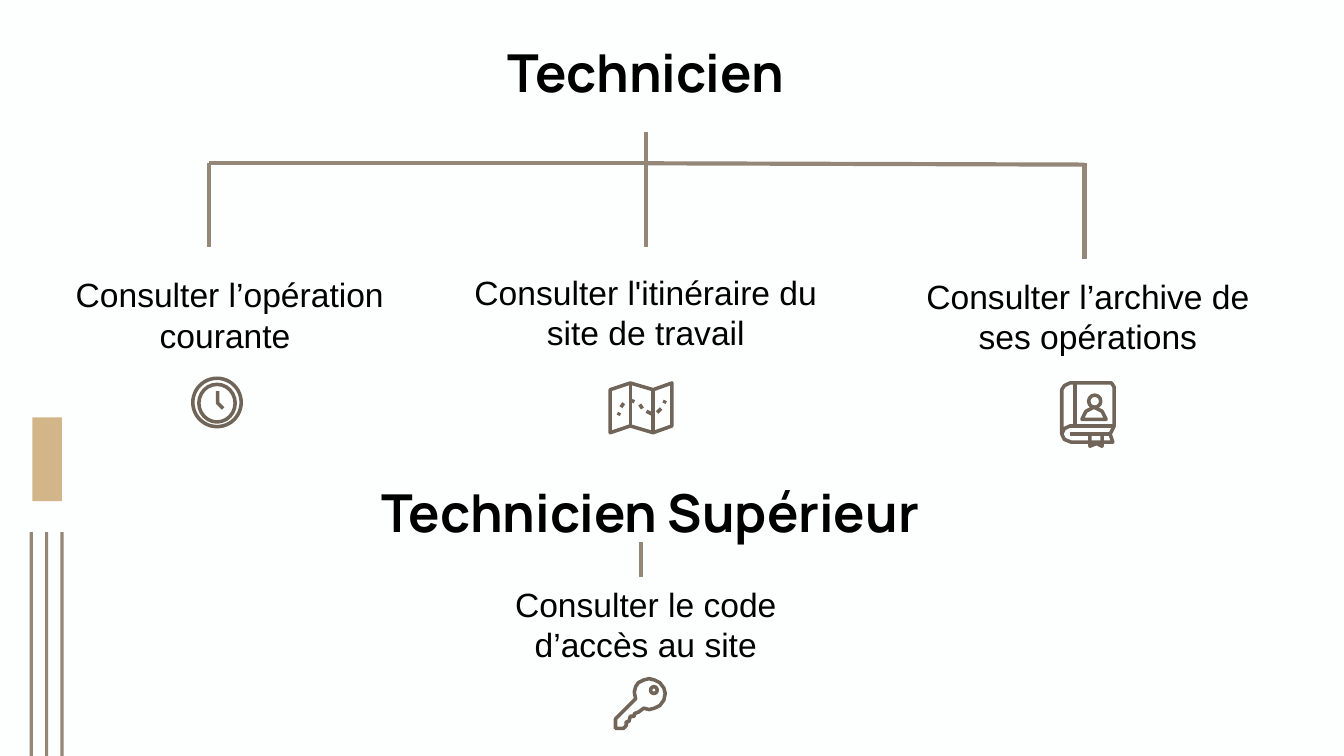
"""Build the slide of technician roles, on a 16:9 page with grid cells of a hundredth of an inch."""
from typing import NamedTuple

import lxml.etree
import pptx
import pptx.dml.color
import pptx.enum.shapes
import pptx.enum.text
import pptx.oxml.ns
import pptx.util

COLS, ROWS = 1000, 562.5
CELL = pptx.util.Inches(0.01)
PAPER = pptx.dml.color.RGBColor(0xFD, 0xFF, 0xFE)
TAUPE = pptx.dml.color.RGBColor(0x94, 0x87, 0x77)
SAND = pptx.dml.color.RGBColor(0xD2, 0xB6, 0x89)
UMBER = pptx.dml.color.RGBColor(0x70, 0x65, 0x58)
BLACK = pptx.dml.color.RGBColor(0, 0, 0)
SHAPE = pptx.enum.shapes.MSO_SHAPE
ALIGN = pptx.enum.text.PP_ALIGN


class Box(NamedTuple):
    """A rectangle in grid columns and rows."""

    col: float
    row: float
    cols: float
    rows: float

    def emu(self) -> list[int]:
        """Return left, top, width and height in EMU."""
        return [int(n * CELL) for n in self]


class Caption(NamedTuple):
    """A text and its place."""

    text: str
    box: Box


class Stroke(NamedTuple):
    """One outline of an icon."""

    points: list[tuple[int, int]]
    closed: bool = False


class Icon(NamedTuple):
    """A line icon made of circles and strokes."""

    circles: list[Box]
    strokes: list[Stroke]


HEADINGS = [
    Caption("Technicien", Box(368, 20, 363, 63)),
    Caption("Technicien Supérieur", Box(274, 347.5, 450, 63)),
]
CAPTIONS = [
    Caption("Consulter l’opération courante ", Box(46, 199, 250, 71)),
    Caption("Consulter l'itinéraire du site de travail", Box(339, 197.5, 283, 71)),
    Caption("Consulter l’archive de ses opérations", Box(668, 200, 283, 71)),
    Caption("Consulter le code d’accès au site", Box(355.5, 429.5, 250, 71)),
]
LEFT, MIDDLE, RIGHT, BRANCH = 155.5, 480.5, 807, 121.5
BRANCHES = [
    ((MIDDLE, 98), (MIDDLE, BRANCH)),
    ((MIDDLE, BRANCH), (MIDDLE, 184)),
    ((LEFT, BRANCH), (MIDDLE, BRANCH)),
    ((MIDDLE, BRANCH), (RIGHT, BRANCH + 1)),
    ((LEFT, BRANCH), (LEFT, 184)),
    ((RIGHT, BRANCH), (RIGHT, 193)),
    ((477, 403.5), (477, 429.5)),
]
CLOCK = Icon(
    [Box(143.5, 281.5, 36, 36), Box(148, 286, 27, 28)],
    [Stroke([(162, 291), (162, 300), (166, 304)])],
)
MAP = Icon([], [
    Stroke([(454, 290), (469, 285), (486, 290), (500, 285),
            (500, 317), (486, 322), (469, 317), (454, 322)], True),
    Stroke([(469, 285), (469, 317)]),
    Stroke([(486, 290), (486, 322)]),
    Stroke([(460, 309), (461, 307)]),
    Stroke([(462, 303), (464, 300)]),
    Stroke([(470, 298), (472, 299)]),
    Stroke([(476, 301), (478, 304)]),
    Stroke([(481, 306), (485, 308)]),
    Stroke([(489, 307), (492, 304)]),
    Stroke([(494, 300), (495, 298)]),
])
BOOK = Icon([Box(810, 294, 9, 9)], [
    Stroke([(790, 323), (790, 290), (792, 287), (796, 285), (827, 285), (829, 288),
            (829, 317), (796, 317), (792, 319), (790, 323), (792, 327), (797, 329),
            (828, 329), (826, 323), (829, 317)]),
    Stroke([(800, 285), (800, 317)]),
    Stroke([(796, 323), (827, 323)]),
    Stroke([(811, 323), (811, 332), (816, 330), (820, 332), (820, 323)]),
    Stroke([(805, 312), (808, 306), (814, 303), (820, 306), (823, 312)], True),
])
KEY = Icon([Box(484, 511, 5, 5)], [
    Stroke([(458, 535), (473, 520), (472, 515), (473, 511), (475, 508), (479, 506),
            (483, 505), (487, 506), (491, 508), (494, 512), (495, 516), (494, 521),
            (491, 525), (487, 527), (483, 528), (479, 527), (475, 530), (472, 531),
            (472, 533), (469, 533), (468, 537), (466, 537), (466, 540), (464, 542),
            (458, 542)], True),
])


def add_bar(s, box: Box, color: pptx.dml.color.RGBColor) -> None:
    """Add a filled bar without outline."""
    sp = s.shapes.add_shape(SHAPE.RECTANGLE, *box.emu())
    sp.shadow.inherit = False
    sp.fill.solid()
    sp.fill.fore_color.rgb = color
    sp.line.fill.background()


def add_text(s, text: str, box: Box, *, font: str = "Arial", size: int = 18,
             bold: bool = False, align=ALIGN.CENTER, inset: int | None = None) -> None:
    """Add a wrapped text box in one format."""
    tf = s.shapes.add_textbox(*box.emu()).text_frame
    tf.word_wrap = True
    if inset is not None:
        tf.margin_left = tf.margin_right = tf.margin_top = tf.margin_bottom = inset * CELL
    p = tf.paragraphs[0]
    p.alignment = align
    r = p.add_run()
    r.text = text
    r.font.name, r.font.size, r.font.bold = font, pptx.util.Pt(size), bold
    r.font.color.rgb = BLACK


def add_line(s, start: tuple[float, float], end: tuple[float, float]) -> None:
    """Add one straight branch of the tree."""
    c = s.shapes.add_connector(pptx.enum.shapes.MSO_CONNECTOR.STRAIGHT,
                               *(int(n * CELL) for n in start + end))
    c.line.color.rgb = TAUPE
    c.line.width = pptx.util.Pt(2.25)
    lxml.etree.SubElement(c.element.spPr, pptx.oxml.ns.qn("a:effectLst"))


def add_icon(s, icon: Icon) -> None:
    """Add an icon as a group of unfilled outlines."""
    shapes = s.shapes.add_group_shape().shapes
    parts = [shapes.add_shape(SHAPE.OVAL, *box.emu()) for box in icon.circles]
    for points, closed in icon.strokes:
        builder = shapes.build_freeform(*points[0], scale=CELL)
        builder.add_line_segments(points[1:], close=closed)
        parts.append(builder.convert_to_shape())
    for sp in parts:
        sp.shadow.inherit = False
        sp.fill.background()
        sp.line.color.rgb = UMBER
        sp.line.width = pptx.util.Pt(1.9)


def main() -> None:
    """Draw the slide and save it."""
    prs = pptx.Presentation()
    prs.slide_width, prs.slide_height = COLS * CELL, int(ROWS * CELL)
    s = prs.slides.add_slide(prs.slide_layouts[6])
    s.background.fill.solid()
    s.background.fill.fore_color.rgb = PAPER
    for i in range(3):
        add_bar(s, Box(22 + 11.5 * i, 396, 2.4, ROWS - 396), TAUPE)
    add_bar(s, Box(24, 310.5, 22, 62.5), SAND)
    for start, end in BRANCHES:
        add_line(s, start, end)
    for text, box in HEADINGS:
        add_text(s, text, box, font="Manrope", size=28, bold=True, align=ALIGN.LEFT, inset=10)
    for text, box in CAPTIONS:
        add_text(s, text, box)
    for icon in (CLOCK, MAP, BOOK, KEY):
        add_icon(s, icon)
    prs.save("out.pptx")


if __name__ == "__main__":
    main()
